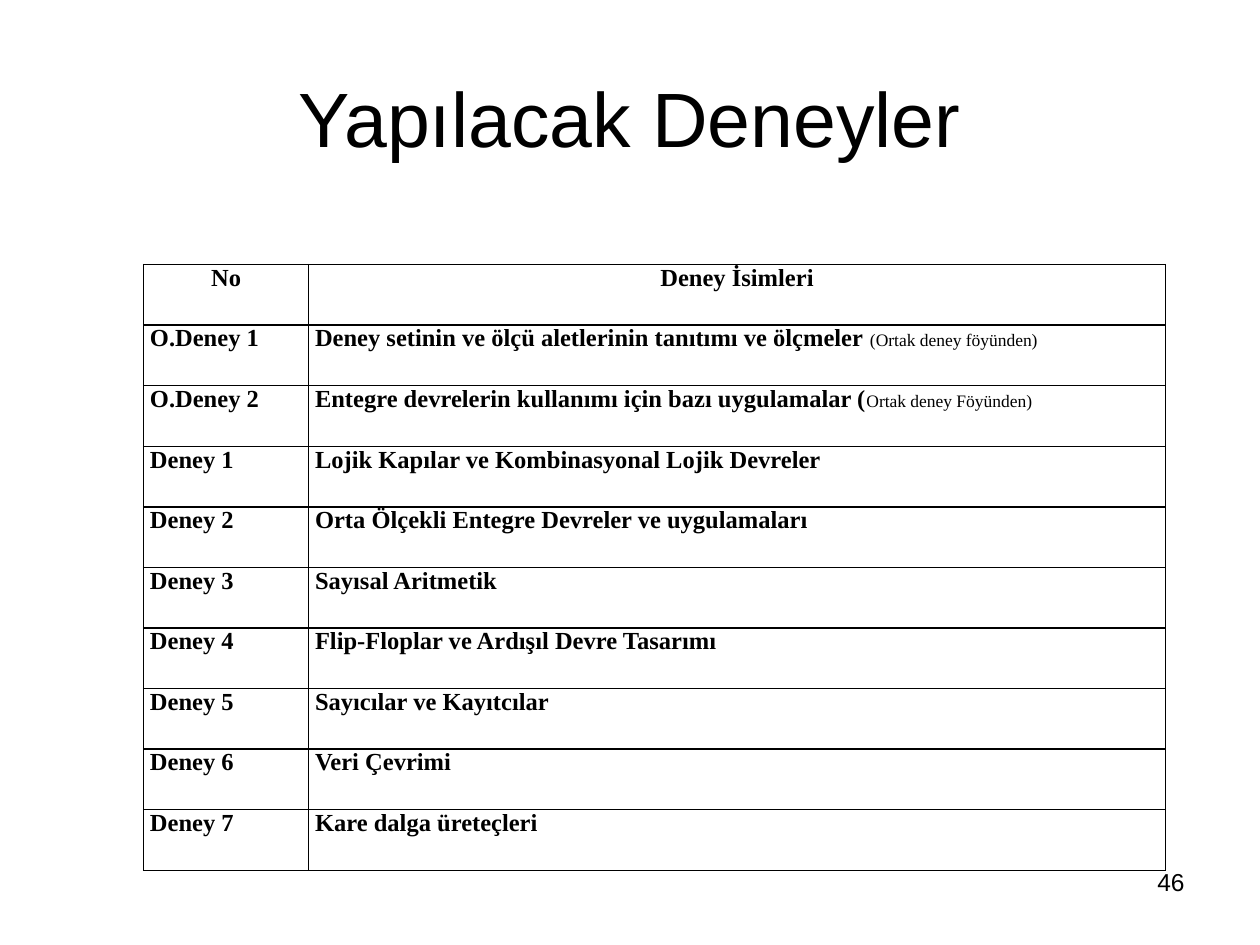
from lxml import etree
from pptx import Presentation
from pptx.dml.color import RGBColor
from pptx.enum.text import MSO_ANCHOR, PP_ALIGN
from pptx.oxml.ns import qn
from pptx.util import Inches, Pt

CENTER, RIGHT, JUSTIFY = PP_ALIGN.CENTER, PP_ALIGN.RIGHT, PP_ALIGN.JUSTIFY
TOP, MIDDLE = MSO_ANCHOR.TOP, MSO_ANCHOR.MIDDLE
COLORS = {"text": "000000", "border": "000000", "background": "FFFFFF"}
SANS, SERIF = "Arial", "Times New Roman"

COLUMN_WIDTHS = (1.31, 6.8)
HEADERS = ("No", "Deney İsimleri")
# Label, experiment name, small note
EXPERIMENTS = [
    ("O.Deney 1", "Deney setinin ve ölçü aletlerinin tanıtımı ve ölçmeler ", "(Ortak deney föyünden)"),
    ("O.Deney 2", "Entegre devrelerin kullanımı için bazı uygulamalar (", "Ortak deney Föyünden)"),
    ("Deney 1", "Lojik Kapılar ve Kombinasyonal Lojik Devreler", ""),
    ("Deney 2", "Orta Ölçekli Entegre Devreler ve uygulamaları", ""),
    ("Deney 3", "Sayısal Aritmetik", ""),
    ("Deney 4", "Flip-Floplar ve Ardışıl Devre Tasarımı", ""),
    ("Deney 5", "Sayıcılar ve Kayıtcılar", ""),
    ("Deney 6", "Veri Çevrimi", ""),
    ("Deney 7", "Kare dalga üreteçleri", ""),
]


def add_text(p, text, font=SERIF, size=14, bold=False, align=JUSTIFY):
    p.alignment = align
    r = p.add_run()
    r.text = text
    r.font.name = font
    r.font.size = Pt(size)
    r.font.bold = bold
    r.font.color.rgb = RGBColor.from_string(COLORS["text"])


def set_borders(cell, width=1):
    """Draw all four cell edges; they must come before the fill in tcPr."""
    tcPr = cell._tc.get_or_add_tcPr()
    for i, edge in enumerate(("a:lnL", "a:lnR", "a:lnT", "a:lnB")):
        ln = etree.Element(qn(edge), w=str(Pt(width)))
        fill = etree.SubElement(ln, qn("a:solidFill"))
        etree.SubElement(fill, qn("a:srgbClr"), val=COLORS["border"])
        tcPr.insert(i, ln)


def format_cell(cell):
    cell.margin_left = cell.margin_right = Inches(0.05)
    cell.margin_top = cell.margin_bottom = 0
    cell.vertical_anchor = TOP
    cell.fill.solid()
    cell.fill.fore_color.rgb = RGBColor.from_string(COLORS["background"])
    set_borders(cell)


def add_title(slide, left, top, width, height):
    sp = slide.shapes.title
    sp.left, sp.top, sp.width, sp.height = map(Inches, (left, top, width, height))
    tf = sp.text_frame
    tf.word_wrap = True
    tf.vertical_anchor = MIDDLE
    add_text(tf.paragraphs[0], "Yapılacak Deneyler", font=SANS, size=44, align=CENTER)


def add_experiments(slide, left, top, width, height):
    rows = len(EXPERIMENTS) + 1
    table = slide.shapes.add_table(
        rows, len(COLUMN_WIDTHS), *map(Inches, (left, top, width, height))).table
    for column, column_width in zip(table.columns, COLUMN_WIDTHS):
        column.width = Inches(column_width)
    for row in table.rows:
        row.height = Inches(height / rows)
    for cell in table.iter_cells():
        format_cell(cell)

    for col, header in enumerate(HEADERS):
        add_text(table.cell(0, col).text_frame.paragraphs[0], header, bold=True, align=CENTER)
    for row, (label, name, note) in enumerate(EXPERIMENTS, start=1):
        add_text(table.cell(row, 0).text_frame.paragraphs[0], label, bold=True)
        p = table.cell(row, 1).text_frame.paragraphs[0]
        add_text(p, name, bold=True)
        if note:
            add_text(p, note, size=10)


def add_page_number(slide, left, top, width, height):
    tf = slide.shapes.add_textbox(*map(Inches, (left, top, width, height))).text_frame
    tf.word_wrap = True
    add_text(tf.paragraphs[0], "46", font=SANS, align=RIGHT)


def main():
    prs = Presentation()
    prs.slide_width, prs.slide_height = Inches(10), Inches(7.5)
    slide = prs.slides.add_slide(prs.slide_layouts[5])
    add_title(slide, 0.5, 0.3, 9, 1.25)
    add_experiments(slide, 1.14, 2.1, sum(COLUMN_WIDTHS), 4.81)
    add_page_number(slide, 7.17, 6.83, 2.33, 0.52)
    prs.save("out.pptx")


if __name__ == "__main__":
    main()
